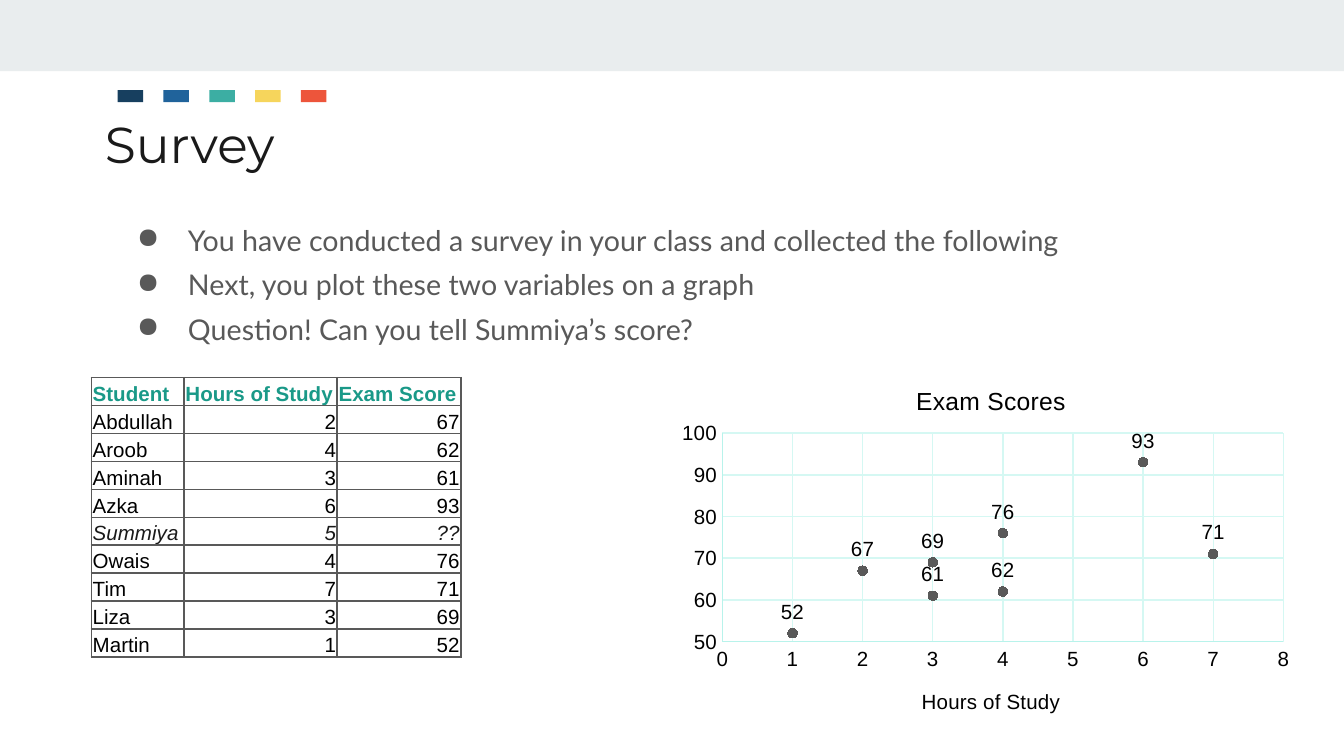
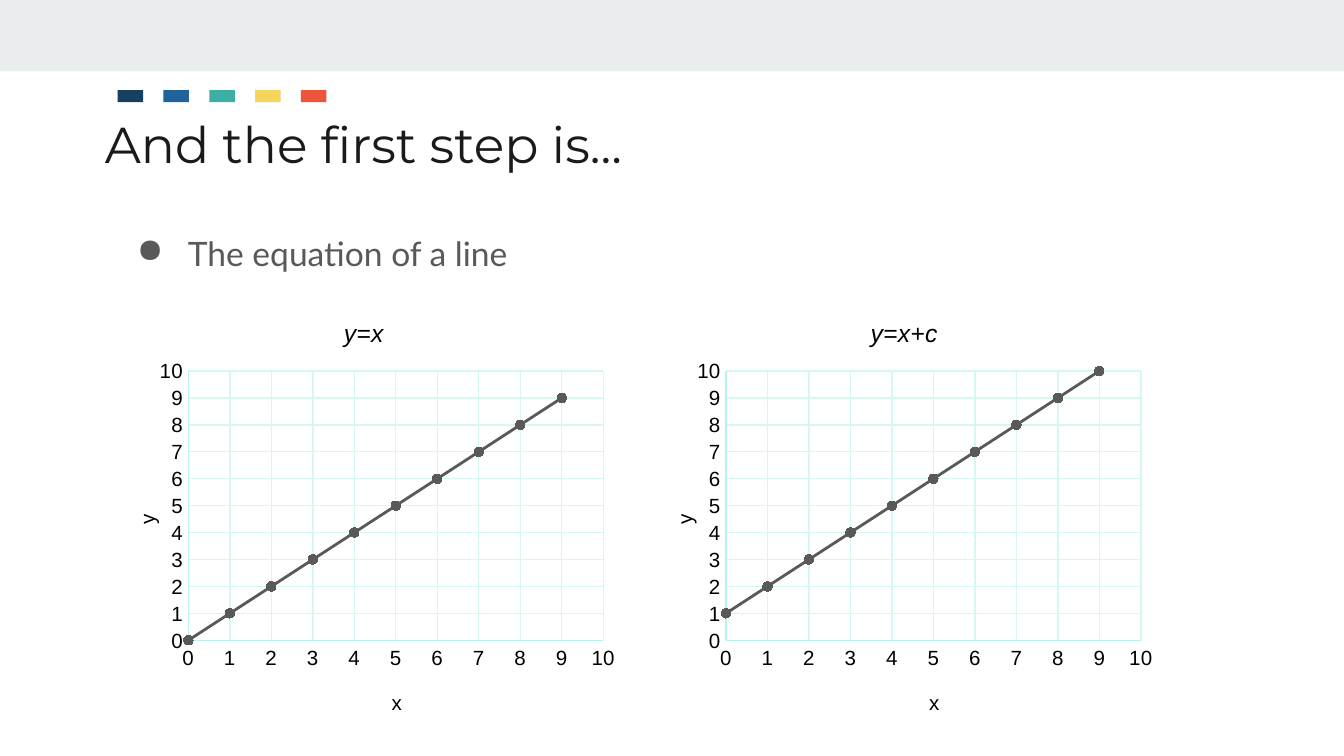
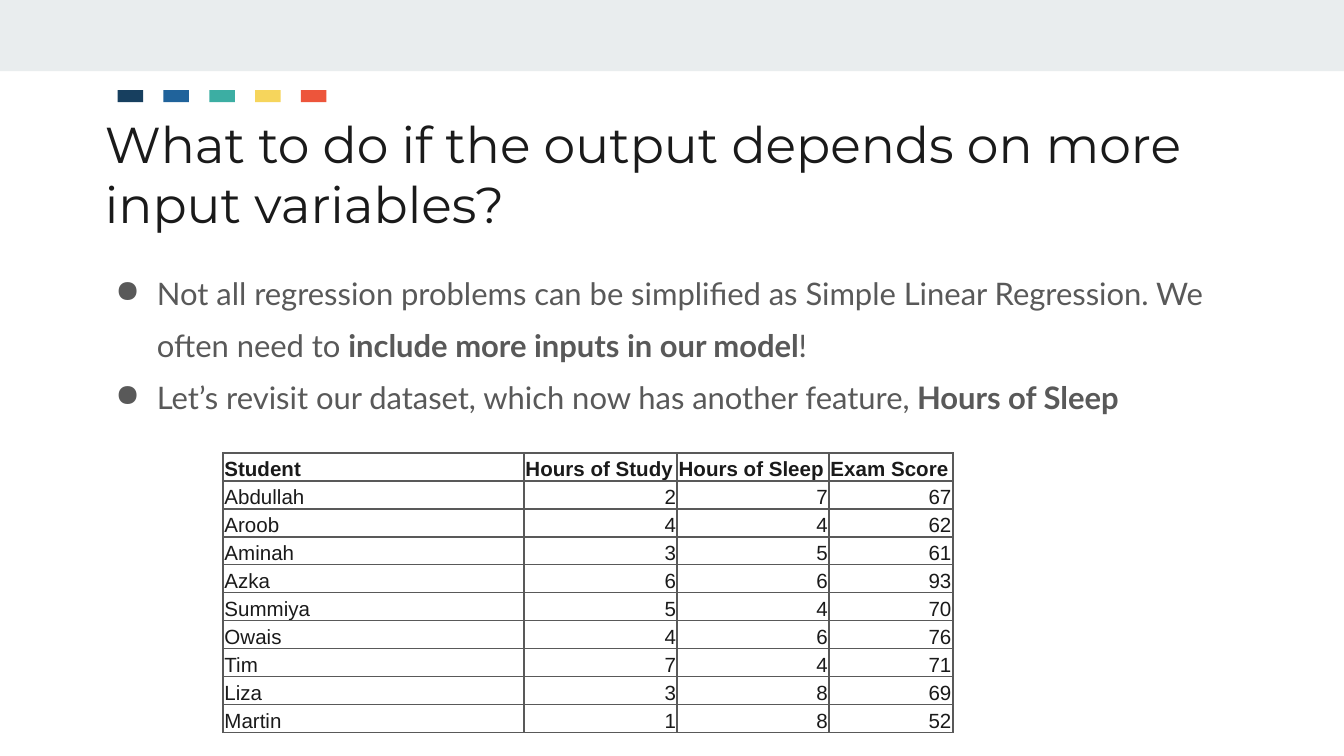
from lxml.etree import SubElement
from pptx import Presentation
from pptx.chart.data import XyChartData
from pptx.dml.color import RGBColor
from pptx.enum.chart import XL_CHART_TYPE, XL_MARKER_STYLE, XL_TICK_MARK
from pptx.enum.shapes import MSO_SHAPE
from pptx.enum.text import MSO_ANCHOR, MSO_AUTO_SIZE, PP_ALIGN
from pptx.oxml import parse_xml
from pptx.oxml.ns import nsdecls, qn
from pptx.util import Emu, Inches, Pt

# Grid: 100 columns by 56.25 rows of square cells
COLS, ROWS = 100, 56.25
CELL = Inches(10) / COLS

INK, GREY, BLACK, TEAL = "1A1A1A", "595959", "000000", "1A9988"
AXIS, GRID, BAND = "B8F3EB", "D5F8F3", "E9EDEE"
CHIPS = ["173F5F", "20639B", "3CAEA3", "F6D55C", "ED553B"]

NAMES = ["Abdullah", "Aroob", "Aminah", "Azka", "Summiya",
         "Owais", "Tim", "Liza", "Martin"]
STUDY = [2, 4, 3, 6, 5, 4, 7, 3, 1]
SLEEP = [7, 4, 5, 6, 4, 6, 4, 8, 8]
SCORES = [67, 62, 61, 93, None, 76, 71, 69, 52]


def hue(code):
    return RGBColor.from_string(code)


def span(cells):
    return Emu(round(cells * CELL))


def box(*cells):
    return [span(c) for c in cells]


def style(font, name, size, code, bold=False, italic=False):
    font.name, font.size = name, Pt(size)
    font.bold, font.italic = bold, italic
    font.color.rgb = hue(code)


def frame(shape):
    text = shape.text_frame
    text.word_wrap = True
    text.auto_size = MSO_AUTO_SIZE.NONE
    text.vertical_anchor = MSO_ANCHOR.TOP
    text.margin_left = text.margin_right = span(1)
    text.margin_top = text.margin_bottom = span(1)
    return text


def block(slide, area, code):
    shape = slide.shapes.add_shape(MSO_SHAPE.RECTANGLE, *box(*area))
    shape.shadow.inherit = False
    shape.fill.solid()
    shape.fill.fore_color.rgb = hue(code)
    shape.line.fill.background()


# Shared look: band, colour chips and title
def page(deck, title):
    slide = deck.slides.add_slide(deck.slide_layouts[5])
    block(slide, (0, 0, COLS, 5.3), BAND)
    for i, code in enumerate(CHIPS):
        block(slide, (8.75 + 3.41 * i, 6.7, 1.9, 0.9), code)
    head = slide.shapes.title
    head.left, head.top, head.width, head.height = box(6.8, 7.4, 84.1, 5.9)
    text = frame(head)
    text.text = title
    para = text.paragraphs[0]
    para.alignment = PP_ALIGN.LEFT
    style(para.runs[0].font, "Montserrat", 27, INK)
    return slide


# Bullets: parts between bars are bold
def bullets(slide, area, lines, size, pitch, left=5.0, hang=3.8):
    text = frame(slide.shapes.add_textbox(*box(*area)))
    for i, line in enumerate(lines):
        para = text.add_paragraph() if i else text.paragraphs[0]
        props = para._p.get_or_add_pPr()
        props.set("marL", str(span(left)))
        props.set("indent", str(-span(hang)))
        tint = SubElement(props, qn("a:buClr"))
        SubElement(tint, qn("a:srgbClr"), val=GREY)
        SubElement(props, qn("a:buChar"), char="●")
        para.line_spacing = pitch
        for k, part in enumerate(line.split("|")):
            if part:
                run = para.add_run()
                run.text = part
                style(run.font, "Lato", size, GREY, bold=k % 2 == 1)


def edge(cell, code):
    props = cell._tc.get_or_add_tcPr()
    for i, side in enumerate("LRTB"):
        props.insert(i, parse_xml(
            f'<a:ln{side} {nsdecls("a")} w="12700"><a:solidFill>'
            f'<a:srgbClr val="{code}"/></a:solidFill></a:ln{side}>'))


def table(slide, left, top, widths, rows, head, body, slant=None):
    high = 2.08
    area = box(left, top, sum(widths), high * len(rows))
    grid = slide.shapes.add_table(len(rows), len(widths), *area).table
    for col, width in zip(grid.columns, widths):
        col.width = span(width)
    for r, row in enumerate(rows):
        grid.rows[r].height = span(high)
        for c, value in enumerate(row):
            cell = grid.cell(r, c)
            cell.fill.background()
            edge(cell, GREY)
            cell.vertical_anchor = MSO_ANCHOR.BOTTOM
            cell.margin_left = cell.margin_right = cell.margin_top = span(0.1)
            cell.margin_bottom = 0
            cell.text_frame.text = str(value)
            para = cell.text_frame.paragraphs[0]
            if r and c:
                para.alignment = PP_ALIGN.RIGHT
            lean = row[0] == slant
            code = head if r == 0 else INK if lean else body
            style(para.runs[0].font, "Arial", 11, code, r == 0, lean)


# Chart parts; places are shares of the chart's size
def place(part, spot, index):
    for old in part.findall(qn("c:layout")):
        part.remove(old)
    inner = '<c:layoutTarget val="inner"/>' if len(spot) == 4 else ""
    modes = '<c:xMode val="edge"/><c:yMode val="edge"/>'
    sizes = "".join(f'<c:{k} val="{v}"/>' for k, v in zip("xywh", spot))
    part.insert(index, parse_xml(
        f'<c:layout {nsdecls("c")}><c:manualLayout>{inner}{modes}{sizes}'
        '</c:manualLayout></c:layout>'))


def label(title, text, size=11, italic=False):
    title.text_frame.text = text
    run = title.text_frame.paragraphs[0].runs[0]
    style(run.font, "Arial", size, BLACK, italic=italic)


def scale(axis, low, high, step):
    axis.minimum_scale, axis.maximum_scale = low, high
    axis.major_unit = step
    axis.major_tick_mark = axis.minor_tick_mark = XL_TICK_MARK.NONE
    axis.has_major_gridlines = True
    for part, code in ((axis, AXIS), (axis.major_gridlines, GRID)):
        part.format.line.color.rgb = hue(code)
        part.format.line.width = Pt(0.75)


def tags(chart):
    flags = "".join(
        f'<c:show{k} val="{int(k == "Val")}"/>' for k in
        ("LegendKey", "Val", "CatName", "SerName", "Percent", "BubbleSize"))
    chart.element.xpath("//c:ser/c:xVal")[0].addprevious(parse_xml(
        f'<c:dLbls {nsdecls("c")}><c:dLblPos val="t"/>{flags}</c:dLbls>'))


def scatter(slide, area, points, title, names, scales, plot, spots, lines):
    data = XyChartData()
    series = data.add_series("Series 1")
    for x, y in points:
        series.add_data_point(x, y)
    kind = XL_CHART_TYPE.XY_SCATTER_LINES if lines else XL_CHART_TYPE.XY_SCATTER
    chart = slide.shapes.add_chart(kind, *box(*area), data).chart
    for gap in chart.element.xpath('//c:pt[c:v="None"]'):
        gap.getparent().remove(gap)
    style(chart.font, "Arial", 11, BLACK)
    chart.has_legend = False
    chart.has_title = True
    label(chart.chart_title, title, 13.2, italic=lines)
    axes = chart.category_axis, chart.value_axis
    for axis, name, limits in zip(axes, names, scales):
        scale(axis, *limits)
        axis.has_title = bool(name)
        if name:
            label(axis.axis_title, name)
    # Series
    chart.plots[0].vary_by_categories = False
    dots = chart.plots[0].series[0]
    dots.marker.style, dots.marker.size = XL_MARKER_STYLE.CIRCLE, 5
    dots.marker.format.fill.solid()
    dots.marker.format.fill.fore_color.rgb = hue(GREY)
    dots.marker.format.line.color.rgb = hue(GREY)
    if lines:
        dots.smooth = False
        dots.format.line.color.rgb = hue(GREY)
        dots.format.line.width = Pt(1.5)
    else:
        dots.format.line.fill.background()
        tags(chart)
    # Places
    place(chart.element.xpath("//c:plotArea")[0], plot, 0)
    heads = chart.element.xpath("//c:title")
    for head, spot in zip(heads, spots):
        place(head, spot, 1)
    if len(heads) == 3:
        heads[2].xpath(".//a:bodyPr")[0].set("rot", "-5400000")


def survey(deck):
    slide = page(deck, "Survey")
    bullets(slide, (8, 14.8, 84.1, 11.8), [
        "You have conducted a survey in your class and collected the following",
        "Next, you plot these two variables on a graph",
        "Question! Can you tell Summiya’s score?"], 15.3, 1.3)
    marks = ["??" if s is None else s for s in SCORES]
    rows = [("Student", "Hours of Study", "Exam Score"),
            *zip(NAMES, STUDY, marks)]
    table(slide, 6.8, 28.1, [6.9, 11.4, 9.2], rows, TEAL, BLACK, "Summiya")
    scatter(slide, (50, 26.6, 46.9, 28.2), zip(STUDY, SCORES), "Exam Scores",
            ("Hours of Study", ""), ((0, 8, 1), (50, 100, 10)),
            (0.08, 0.2, 0.89, 0.55), ((0.38, 0.06), (0.39, 0.86)), False)


def first(deck):
    slide = page(deck, "And the first step is...")
    bullets(slide, (8, 14.8, 84.1, 6.7), ["The equation of a line"], 18, 1.5)
    for i, (title, left) in enumerate((("y=x", 0.46), ("y=x+c", 0.44))):
        scatter(slide, (6.8 + 40 * i, 21.6, 40.1, 33.4),
                [(x, x + i) for x in range(10)], title, ("x", "y"),
                [(0, 10, 1)] * 2, (0.18, 0.18, 0.77, 0.6),
                ((left, 0.05), (0.55, 0.88), (0.07, 0.49)), True)


def inputs(deck):
    slide = page(deck, "What to do if the output depends on more input variables?")
    bullets(slide, (7.6, 18.3, 84.1, 14.2), [
        "Not all regression problems can be simplified as Simple Linear "
        "Regression. We often need to |include more inputs in our model|!",
        "Let’s revisit our dataset, which now has another feature, "
        "|Hours of Sleep|"], 16.6, 1.4, 3.1, 3.1)
    marks = [70 if s is None else s for s in SCORES]
    rows = [("Student", "Hours of Study", "Hours of Sleep", "Exam Score"),
            *zip(NAMES, STUDY, SLEEP, marks)]
    table(slide, 16.6, 33.7, [22.4, 11.4, 11.3, 9.2], rows, INK, INK)


def main():
    deck = Presentation()
    deck.slide_width, deck.slide_height = box(COLS, ROWS)
    survey(deck)
    first(deck)
    inputs(deck)
    deck.save("out.pptx")


if __name__ == "__main__":
    main()
